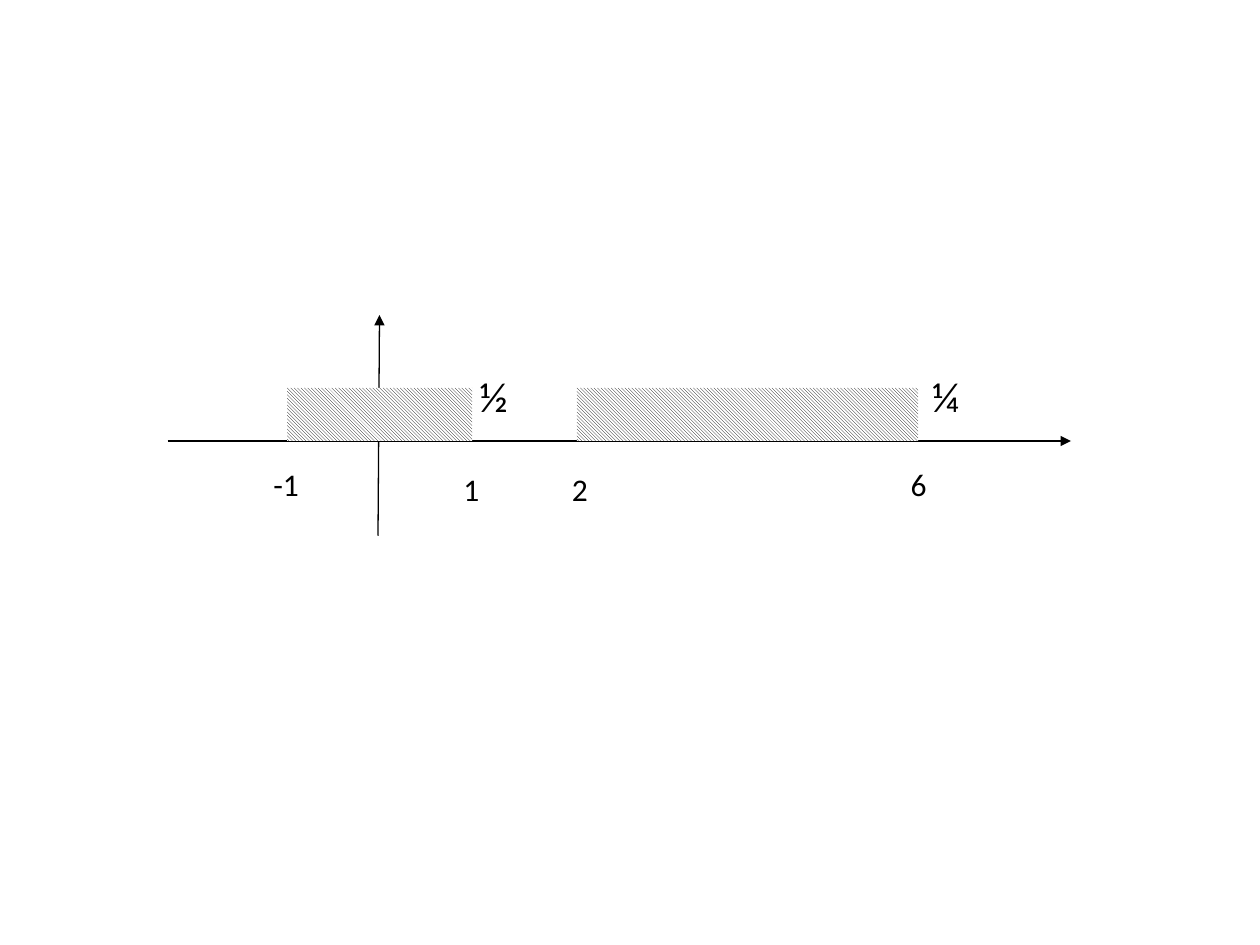
from dataclasses import dataclass

from pptx import Presentation
from pptx.dml.color import RGBColor
from pptx.enum.dml import MSO_PATTERN as Pattern
from pptx.enum.shapes import MSO_CONNECTOR as Connector, MSO_SHAPE as Shape
from pptx.enum.text import MSO_AUTO_SIZE as AutoSize
from pptx.oxml.ns import qn
from pptx.slide import Slide
from pptx.util import Cm, Pt
from lxml.etree import SubElement

BLACK, WHITE = "000000", "FFFFFF"
FONT = "Calibri"
AXIS_Y = 8.89
BAR_HEIGHT = 1.07


@dataclass
class Axis:
    start: tuple[float, float]
    end: tuple[float, float]


@dataclass
class Bar:
    left: float
    width: float


@dataclass
class Label:
    text: str
    left: float
    top: float
    width: float
    height: float = 1.02
    size: int = 18
    wrap: bool = False


def color(value: str) -> RGBColor:
    return RGBColor.from_string(value)


def draw_axis(page: Slide, axis: Axis) -> None:
    points = [Cm(value) for value in (*axis.start, *axis.end)]
    line = page.shapes.add_connector(Connector.STRAIGHT, *points)
    line.line.color.rgb = color(BLACK)
    line.line.width = Pt(0.75)
    SubElement(line.line._get_or_add_ln(), qn("a:tailEnd"), type="triangle")
    SubElement(line._element.spPr, qn("a:effectLst"))


def draw_bar(page: Slide, bar: Bar) -> None:
    box = page.shapes.add_shape(
        Shape.RECTANGLE, Cm(bar.left), Cm(AXIS_Y - BAR_HEIGHT), Cm(bar.width), Cm(BAR_HEIGHT)
    )
    box.shadow.inherit = False
    box.fill.patterned()
    box.fill.pattern = Pattern.LIGHT_DOWNWARD_DIAGONAL
    box.fill.fore_color.rgb = color(BLACK)
    box.fill.back_color.rgb = color(WHITE)
    box.line.fill.background()


def draw_label(page: Slide, label: Label) -> None:
    box = page.shapes.add_textbox(
        Cm(label.left), Cm(label.top), Cm(label.width), Cm(label.height)
    )
    frame = box.text_frame
    frame.word_wrap = label.wrap
    frame.auto_size = AutoSize.SHAPE_TO_FIT_TEXT
    span = frame.paragraphs[0].add_run()
    span.text = label.text
    span.font.name = FONT
    span.font.size = Pt(label.size)
    span.font.color.rgb = color(BLACK)


HORIZONTAL = Axis((3.38, AXIS_Y), (21.59, AXIS_Y))
VERTICAL = Axis((7.62, 10.8), (7.65, 6.35))
BARS = [Bar(5.79, 3.73), Bar(11.63, 6.88)]
LABELS = [
    Label("-1", 5.26, 9.25, 1.04),
    Label("1", 9.09, 9.35, 0.84),
    Label("½", 9.42, 7.34, 1.57, 2.31, 24, True),
    Label("¼", 18.54, 7.34, 1.07, 2.31, 24),
    Label("2", 11.28, 9.35, 0.84),
    Label("6", 18.11, 9.25, 0.84),
]

deck = Presentation()
deck.slide_width, deck.slide_height = Cm(25.4), Cm(19.05)
page = deck.slides.add_slide(deck.slide_layouts[6])

# Number line and its labels
draw_axis(page, HORIZONTAL)
for label in LABELS:
    draw_label(page, label)

# The bars cover part of the vertical axis
draw_axis(page, VERTICAL)
for bar in BARS:
    draw_bar(page, bar)

deck.save("out.pptx")
